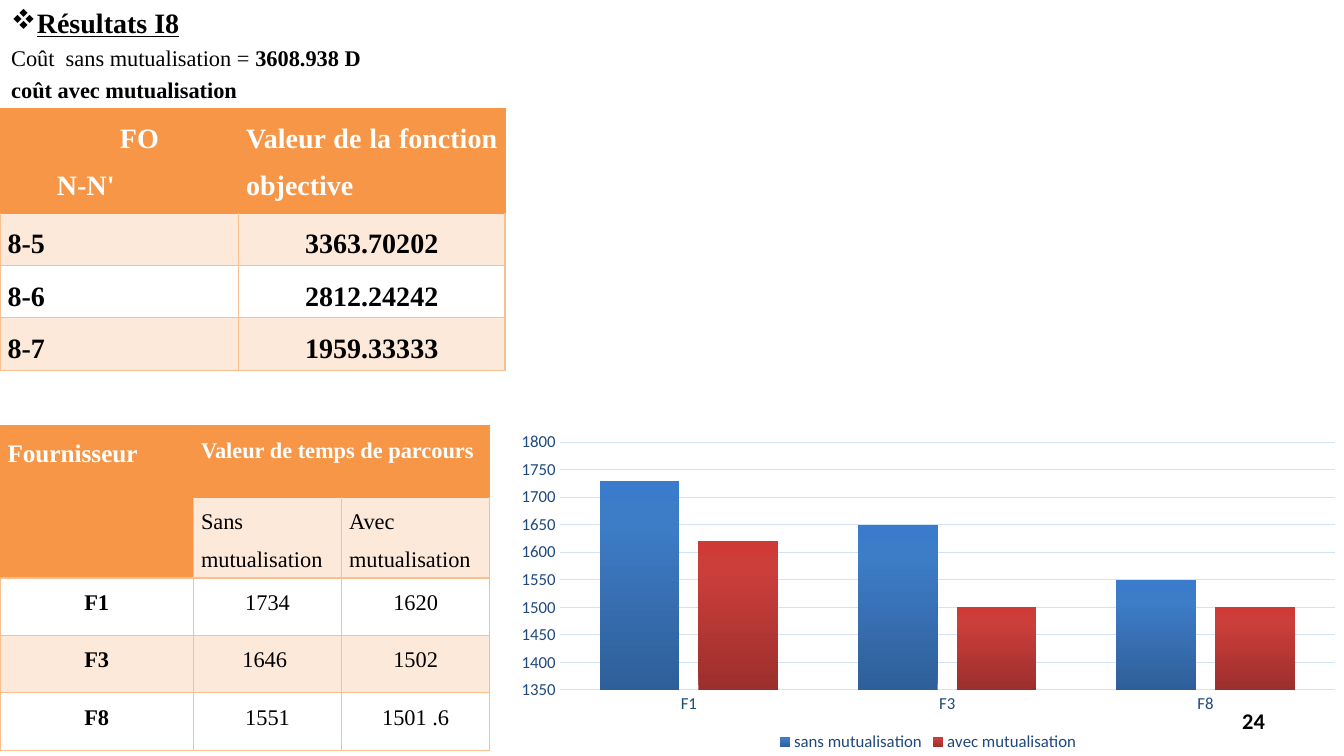
from copy import deepcopy
from lxml import etree
from pptx import Presentation
from pptx.chart.data import CategoryChartData
from pptx.dml.color import RGBColor
from pptx.enum.chart import XL_CHART_TYPE, XL_LEGEND_POSITION, XL_TICK_MARK
from pptx.enum.text import MSO_ANCHOR, PP_ALIGN
from pptx.oxml.ns import qn
from pptx.util import Pt

COLORS = {
    "black": "000000", "white": "FFFFFF", "orange": "F79646", "peach": "FDE9D9",
    "border": "FABF8F", "axis": "1F497D", "grid": "D4E3F4",
}
SERIF = "Times New Roman"


def write(paragraph, text, color="black", **font_values):
    run = paragraph.add_run()
    run.text = text
    run.font.color.rgb = RGBColor.from_string(COLORS[color])
    for name, value in {"name": SERIF, **font_values}.items():
        setattr(run.font, name, value)


def style_cell(cell, text, fill, top, edge, align, **font_values):
    margins = {"margin_left": 5.4, "margin_right": 5.4, "margin_top": 0, "margin_bottom": 0}
    for name, value in margins.items():
        setattr(cell, name, Pt(value))
    cell.fill.solid()
    cell.fill.fore_color.rgb = RGBColor.from_string(COLORS[fill])
    for number, line in enumerate(text.split("\n")):
        paragraph = cell.text_frame.add_paragraph() if number else cell.text_frame.paragraphs[0]
        paragraph.alignment = align
        paragraph.line_spacing = 1.5
        write(paragraph, line, **font_values)
    # Borders come before the fill in the cell properties
    properties = cell._tc.get_or_add_tcPr()
    for position, (side, color) in enumerate(
            [("lnL", edge), ("lnR", edge), ("lnT", top), ("lnB", edge)]):
        border = etree.Element(qn(f"a:{side}"), w=str(Pt(1)))
        solid = etree.SubElement(border, qn("a:solidFill"))
        etree.SubElement(solid, qn("a:srgbClr"), val=COLORS[color])
        properties.insert(position, border)


presentation = Presentation()
presentation.slide_width, presentation.slide_height = Pt(960), Pt(540)
slide = presentation.slides.add_slide(presentation.slide_layouts[6])

# Heading and costs
results = slide.shapes.add_textbox(0, 0, Pt(960), Pt(540)).text_frame
results.word_wrap = True
heading = results.paragraphs[0]
bullet = heading._p.get_or_add_pPr()
etree.SubElement(bullet, qn("a:buFont"), typeface="Wingdings", charset="2")
etree.SubElement(bullet, qn("a:buChar"), char="v")
write(heading, "Résultats I8", size=Pt(20), bold=True, underline=True)
cost_without, cost_with = results.add_paragraph(), results.add_paragraph()
write(cost_without, "Coût  sans mutualisation = ", size=Pt(16))
write(cost_without, "3608.938 D", size=Pt(16), bold=True)
write(cost_with, "coût avec mutualisation", size=Pt(16), bold=True)
for cost in (cost_without, cost_with):
    cost.space_before = Pt(3.5)
for name, value in {"margin_left": 8, "margin_right": 8,
                    "margin_top": 4, "margin_bottom": 4}.items():
    setattr(results, name, Pt(value))

# Travel time chart
suppliers = ["F1", "F3", "F8"]
travel_times = {
    "sans mutualisation": ([1730, 1650, 1550], ["2F5F99", "3D7CC7", "3A7CCB"]),
    "avec mutualisation": ([1620, 1500, 1500], ["9C2F2D", "CB3E3A", "CE3B37"]),
}
chart_data = CategoryChartData()
chart_data.categories = suppliers
for name, (times, _) in travel_times.items():
    chart_data.add_series(name, times)
chart = slide.shapes.add_chart(
    XL_CHART_TYPE.COLUMN_CLUSTERED, Pt(360.5), Pt(304), Pt(605), Pt(236), chart_data).chart
chart.has_title = False
chart.has_legend = True
chart.legend.position = XL_LEGEND_POSITION.BOTTOM
chart.legend.include_in_layout = False
chart.font.name, chart.font.size = "Calibri", Pt(12)
chart.font.color.rgb = RGBColor.from_string(COLORS["axis"])

bars = chart.plots[0]
for name, value in {"gap_width": 100, "overlap": -24, "vary_by_categories": False}.items():
    setattr(bars, name, value)
for series, (_, shades) in zip(bars.series, travel_times.values()):
    fill = series.format.fill
    fill.gradient()
    fill.gradient_angle = 90
    stop_list = series._element.find(".//" + qn("a:gsLst"))
    stop_list.append(deepcopy(stop_list[-1]))
    for stop, position, shade in zip(fill.gradient_stops, (0, 0.8, 1), shades):
        stop.position = position
        stop.color.rgb = RGBColor.from_string(shade)

scale = chart.value_axis
for name, value in {"minimum_scale": 1350, "maximum_scale": 1800, "major_unit": 50,
                    "has_major_gridlines": True}.items():
    setattr(scale, name, value)
scale.format.line.fill.background()
for line in (scale.major_gridlines.format.line, chart.category_axis.format.line):
    line.color.rgb = RGBColor.from_string(COLORS["grid"])
    line.width = Pt(0.75)
for axis in (scale, chart.category_axis):
    axis.major_tick_mark = axis.minor_tick_mark = XL_TICK_MARK.NONE

plot_area = chart._chartSpace.find(".//" + qn("c:plotArea"))
for old_layout in plot_area.findall(qn("c:layout")):
    plot_area.remove(old_layout)
layout = etree.Element(qn("c:layout"))
plot_area.insert(0, layout)
manual = etree.SubElement(layout, qn("c:manualLayout"))
for tag, value in {"layoutTarget": "inner", "xMode": "edge", "yMode": "edge",
                   "x": 0.065, "y": 0.05, "w": 0.915, "h": 0.75}.items():
    etree.SubElement(manual, qn(f"c:{tag}"), val=str(value))

# Both tables: top, height, column widths, row heights
tables = []
for top, height, widths, row_heights in [
        (77.3, 187.2, [170.4, 190.3], [75, 37.4, 37.4, 37.4]),
        (304, 229, [138.2, 105.8, 105.8], [51.3, 41, 41, 41, 41])]:
    frame = slide.shapes.add_table(
        len(row_heights), len(widths), 0, Pt(top), Pt(sum(widths)), Pt(height))
    table = frame.table
    table.first_row = table.horz_banding = False
    for column, width in zip(table.columns, widths):
        column.width = Pt(width)
    for row, row_height in zip(table.rows, row_heights):
        row.height = Pt(row_height)
    frame.height = Pt(height)
    tables.append(table)
objective, travel = tables

# Objective function table
header = {"fill": "orange", "top": "orange", "edge": "orange", "color": "white", "bold": True}
for column, title in enumerate(["FO\nN-N'", "Valeur de la fonction objective"]):
    style_cell(objective.cell(0, column), title, align=PP_ALIGN.JUSTIFY, size=Pt(20), **header)
for paragraph, indent in zip(objective.cell(0, 0).text_frame.paragraphs, (80.3, 35.3)):
    properties = paragraph._p.get_or_add_pPr()
    properties.set("marL", "0")
    properties.set("indent", str(Pt(indent)))
objectives = [("8-5", "3363.70202"), ("8-6", "2812.24242"), ("8-7", "1959.33333")]
for row, values in enumerate(objectives, 1):
    for column, value in enumerate(values):
        style_cell(objective.cell(row, column), value, "peach" if row % 2 else "white",
                   "orange" if row == 1 else "border", "border",
                   PP_ALIGN.CENTER if column else PP_ALIGN.JUSTIFY, size=Pt(20), bold=True)

# Travel time table
travel.cell(0, 0).merge(travel.cell(1, 0))
travel.cell(0, 1).merge(travel.cell(0, 2))
for row, column, title, size in [(0, 0, "Fournisseur", 18), (1, 0, "", 18),
                                 (0, 1, "Valeur de temps de parcours", 16), (0, 2, "", 16)]:
    style_cell(travel.cell(row, column), title, align=PP_ALIGN.LEFT, size=Pt(size), **header)
for column, title in enumerate(["Sans mutualisation", "Avec mutualisation"], 1):
    style_cell(travel.cell(1, column), title, "peach", "orange", "border",
               PP_ALIGN.LEFT, size=Pt(16), bold=False)
times_shown = [("1734", "1620"), ("1646 ", "1502"), ("1551", "1501 .6")]
for row, (supplier, times) in enumerate(zip(suppliers, times_shown), 2):
    for column, value in enumerate([supplier, *times]):
        style_cell(travel.cell(row, column), value, "peach" if row % 2 else "white",
                   "border", "border", PP_ALIGN.CENTER, size=Pt(16), bold=column == 0)

# Page number
page = slide.shapes.add_textbox(Pt(687.5), Pt(500.5), Pt(224), Pt(29)).text_frame
for name, value in {"word_wrap": True, "vertical_anchor": MSO_ANCHOR.MIDDLE,
                    "margin_left": Pt(8), "margin_right": Pt(8)}.items():
    setattr(page, name, value)
page.paragraphs[0].alignment = PP_ALIGN.RIGHT
write(page.paragraphs[0], "24", name="Calibri", size=Pt(16), bold=True)

presentation.save("out.pptx")
